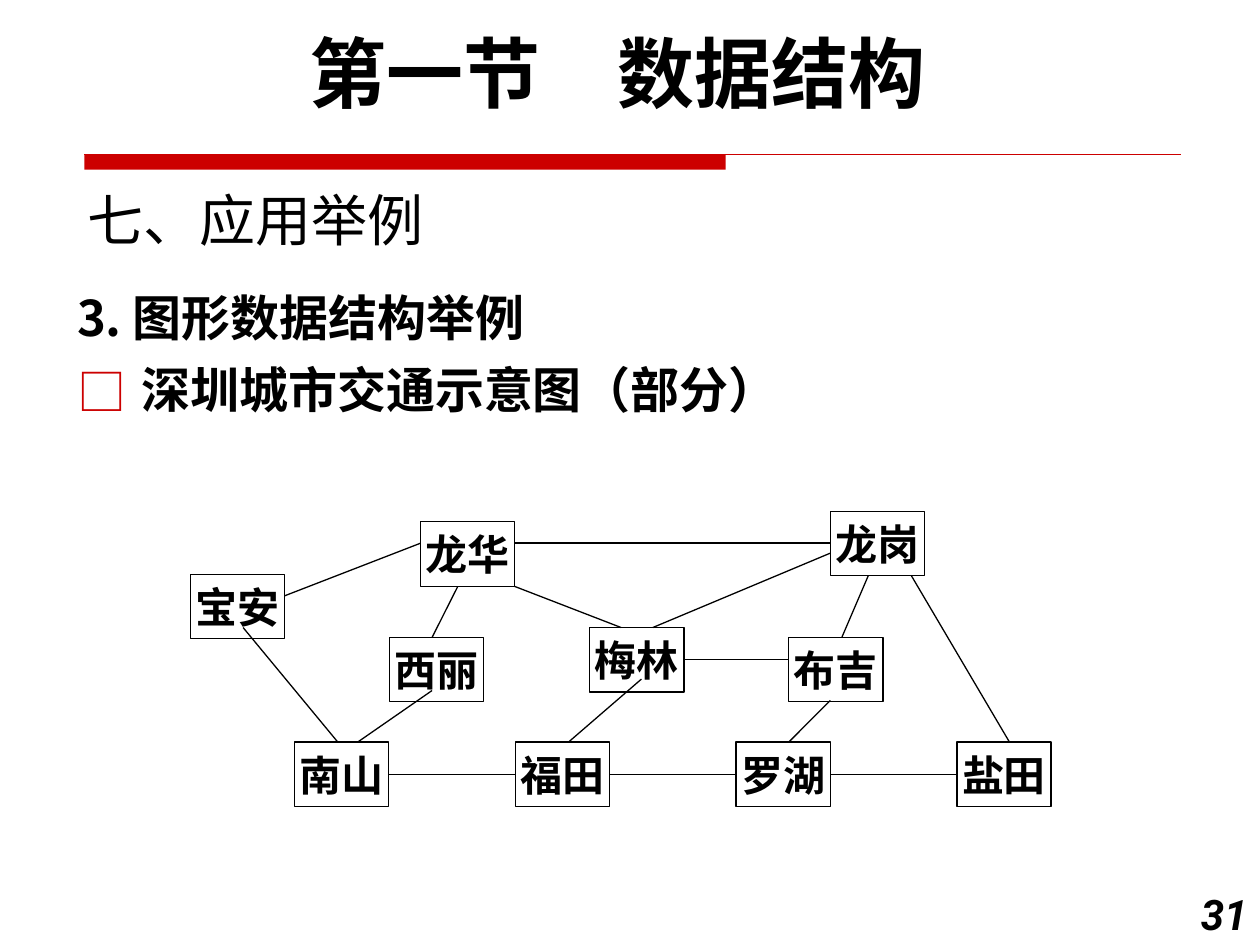
import pptx
import pptx.util
import pptx.dml.color
import pptx.enum.shapes
import pptx.enum.text
import pptx.oxml
import pptx.oxml.ns

Cm, Pt = pptx.util.Cm, pptx.util.Pt
Align = pptx.enum.text.PP_ALIGN
Anchor = pptx.enum.text.MSO_ANCHOR

HUES = {"ink": "000000", "red": "CC0000", "paper": "FFFFFF"}
CJK = "Noto Sans CJK SC"
LATIN = "Roboto"
BOX_W, BOX_H = 1.9, 1.3
ROW_X, ROW_Y, PITCH = 5.94, 14.96, 4.45

ROW = ["南山", "福田", "罗湖", "盐田"]
TOWNS = {"宝安": (3.84, 11.58), "西丽": (7.85, 12.85),
         "梅林": (11.89, 12.65), "布吉": (15.9, 12.85)}
HUBS = {"龙华": (8.48, 10.52), "龙岗": (16.74, 10.31)}
ROADS = [
    (6.81, 14.96, 4.9, 12.65),
    (5.74, 12.01, 8.48, 10.95),
    (10.39, 10.95, 16.74, 10.95),
    (11.46, 14.96, 12.93, 13.69),
    (13.16, 12.65, 16.74, 11.15),
    (17.6, 11.38, 16.97, 12.85),
    (16.74, 14.12, 15.9, 14.96),
    (18.24, 11.38, 20.35, 14.96),
    (7.21, 14.96, 8.71, 13.92),
    (8.71, 12.85, 9.35, 11.58),
    (9.75, 11.58, 12.52, 12.65),
]


def hue(name):
    return pptx.dml.color.RGBColor.from_string(HUES[name])


def add_tag(node, tag, **attrs):
    item = pptx.oxml.parse_xml(f'<a:{tag} {pptx.oxml.ns.nsdecls("a")}/>')
    for key, val in attrs.items():
        item.set(key, val)
    node.append(item)
    return item


class Deck:
    def __init__(self):
        self.prs = pptx.Presentation()
        self.prs.slide_width, self.prs.slide_height = Cm(25.4), Cm(19.05)
        self.slide = self.prs.slides.add_slide(self.prs.slide_layouts[1])
        self.shapes = self.slide.shapes

    def text(self, para, words, align=Align.LEFT, **form):
        para.alignment = align
        run = para.add_run()
        run.text = words
        for key, val in form.items():
            setattr(run.font, key, val)
        run.font.color.rgb = hue("ink")
        add_tag(run._r.get_or_add_rPr(), "ea", typeface=CJK)

    def frame(self, shape, anchor):
        form = {"word_wrap": True, "vertical_anchor": anchor,
                "auto_size": pptx.enum.text.MSO_AUTO_SIZE.NONE}
        for key, val in form.items():
            setattr(shape.text_frame, key, val)
        return shape.text_frame

    def place(self, shape, *rect):
        for key, val in zip(("left", "top", "width", "height"), rect):
            setattr(shape, key, Cm(val))

    def title(self, words, *rect):
        shape = self.shapes.title
        self.place(shape, *rect)
        frame = self.frame(shape, Anchor.BOTTOM)
        self.text(frame.paragraphs[0], words, size=Pt(32), name=CJK, bold=False)

    def body(self, items, *rect):
        """Fill the body with (words, bullet) pairs; a bullet may be None."""
        shape = self.slide.placeholders[1]
        self.place(shape, *rect)
        frame = self.frame(shape, Anchor.TOP)
        for i, (words, mark) in enumerate(items):
            para = frame.add_paragraph() if i else frame.paragraphs[0]
            para.space_before = Pt(8 if i else 0)
            props = para._p.get_or_add_pPr()
            props.set("marL", str(Cm(1.3)))
            props.set("indent", str(-Cm(1.3)))
            if mark:
                tint = add_tag(props, "buClr")
                add_tag(tint, "srgbClr", val=HUES["red"])
                add_tag(props, "buFont", typeface=CJK)
                add_tag(props, "buChar", char=mark)
            else:
                add_tag(props, "buNone")
            self.text(para, words, size=Pt(28), name=CJK, bold=True)

    def label(self, words, rect, align, **form):
        shape = self.shapes.add_textbox(*map(Cm, rect))
        frame = self.frame(shape, Anchor.MIDDLE)
        self.text(frame.paragraphs[0], words, align, name=LATIN, bold=True, **form)

    def rect(self, *rect, fill=None, line="ink"):
        kind = pptx.enum.shapes.MSO_SHAPE.RECTANGLE
        shape = self.shapes.add_shape(kind, *map(Cm, rect))
        shape.shadow.inherit = False
        if fill:
            shape.fill.solid()
            shape.fill.fore_color.rgb = hue(fill)
        else:
            shape.fill.background()
        if line:
            shape.line.color.rgb = hue(line)
            shape.line.width = Pt(0.75)
        else:
            shape.line.fill.background()
        return shape

    def town(self, words, left, top, fill=None):
        shape = self.rect(left, top, BOX_W, BOX_H, fill=fill)
        frame = self.frame(shape, Anchor.MIDDLE)
        frame.margin_left = frame.margin_right = 0
        self.text(frame.paragraphs[0], words, Align.CENTER,
                  size=Pt(24), name=LATIN, bold=True)
        return shape

    def line(self, *ends, color="ink"):
        kind = pptx.enum.shapes.MSO_CONNECTOR.STRAIGHT
        link = self.shapes.add_connector(kind, *map(Cm, ends))
        link.line.color.rgb = hue(color)
        link.line.width = Pt(0.75)
        add_tag(link._element.spPr, "effectLst")
        return link


def main():
    deck = Deck()
    deck.rect(1.7, 3.12, 12.93, 0.3, fill="red", line=None)
    deck.line(1.7, 3.12, 23.8, 3.12, color="red")
    deck.title("七、应用举例", 1.5, 3.33, 17.15, 1.9)
    deck.label("31", (23.7, 17.78, 1.7, 1.27), Align.RIGHT,
               size=Pt(24), italic=True)
    deck.body([("3. 图形数据结构举例", None), ("深圳城市交通示意图（部分）", "□")],
              1.3, 5.66, 24.33, 4.45)

    row = [deck.town(name, ROW_X + i * PITCH, ROW_Y) for i, name in enumerate(ROW)]
    towns = {name: deck.town(name, *spot) for name, spot in TOWNS.items()}
    mid = ROW_Y + BOX_H / 2
    for i, (west, east) in enumerate(zip(row, row[1:])):
        left = ROW_X + i * PITCH + BOX_W
        link = deck.line(left, mid, left + PITCH - BOX_W, mid)
        link.begin_connect(west, 3)
        link.end_connect(east, 1)
    for road in ROADS:
        deck.line(*road)
    deck.line(13.79, 13.3, 15.9, 13.3).begin_connect(towns["梅林"], 3)
    for name, spot in HUBS.items():
        deck.town(name, *spot, fill="paper")

    deck.label("第一节　数据结构", (0.71, 0.38, 23.5, 2.13), Align.CENTER, size=Pt(44))
    deck.prs.save("out.pptx")


if __name__ == "__main__":
    main()
